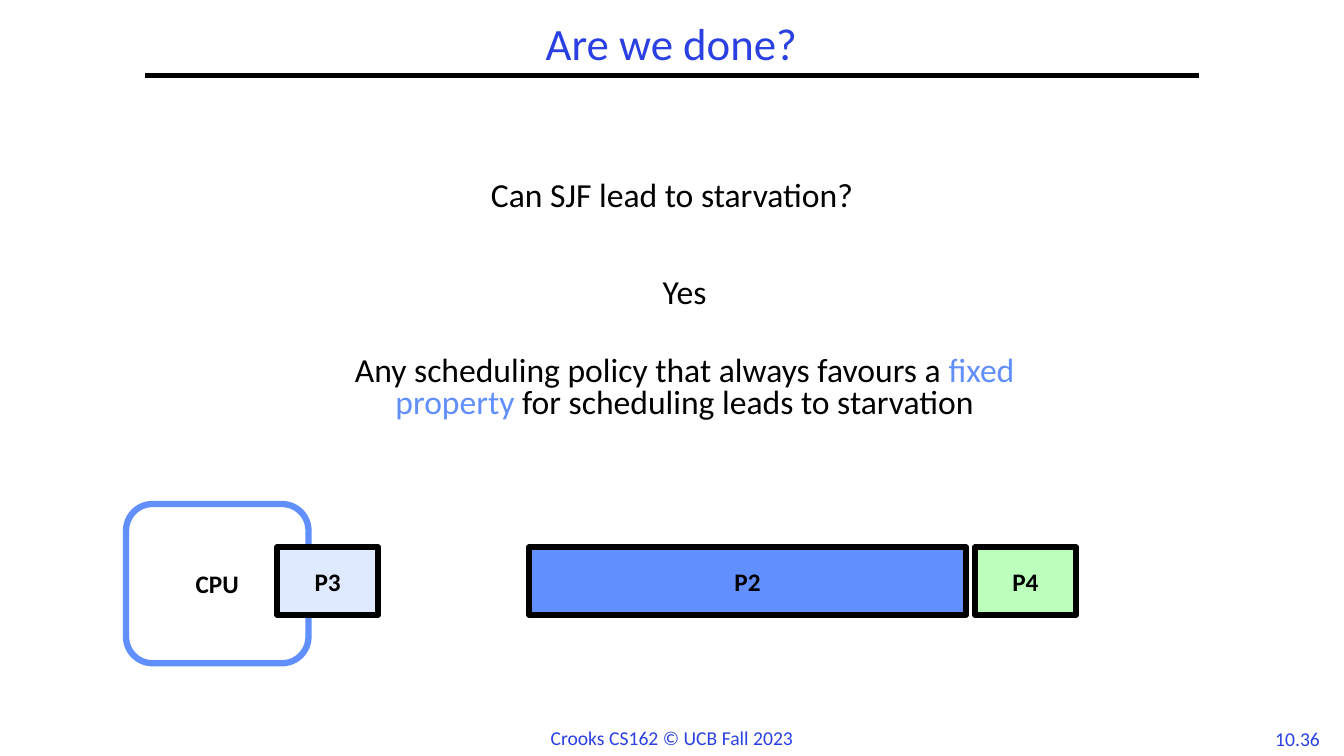
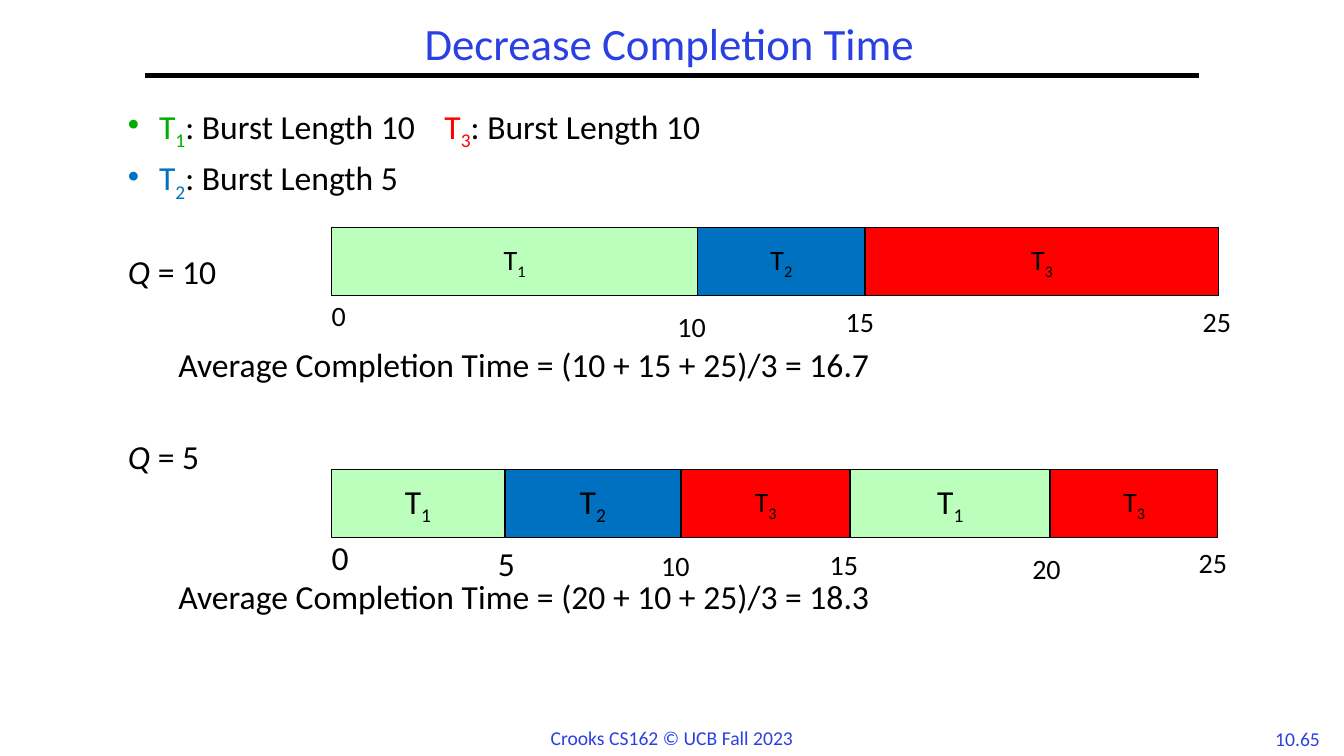
from itertools import pairwise

from lxml.etree import SubElement
from pptx import Presentation
from pptx.dml.color import RGBColor
from pptx.enum.shapes import MSO_CONNECTOR, MSO_SHAPE
from pptx.enum.text import MSO_ANCHOR as ANCHOR, PP_ALIGN as ALIGN
from pptx.oxml.ns import qn
from pptx.util import Pt

PX = 9144  # 100 px to the inch
FONT = "Calibri"
COLORS = {
    "black": "000000", "white": "FFFFFF", "title": "2A40E2", "sky": "618FFD",
    "pale": "DFE9FF", "mint": "BCFFBC", "green": "00AE00", "blue": "0070C0", "red": "FF0000",
}


def px(*lengths):
    return [length * PX for length in lengths]


def add_text(slide, box, paragraphs, size, color="black", align=ALIGN.LEFT, anchor=ANCHOR.TOP,
             bold=False, line_spacing=None, gap=0, bullet=None, wrap=True,
             kind=None, fill=None, edge="black", weight=0.75):
    """Add a text box, or a filled shape if kind is given.

    Each paragraph is a list of runs (text, colour or None, "sub", "italic" or None).
    """
    if kind is None:
        holder = slide.shapes.add_textbox(*px(*box))
    else:
        holder = slide.shapes.add_shape(kind, *px(*box))
        holder.shadow.inherit = False
        holder.fill.solid()
        holder.fill.fore_color.rgb = RGBColor.from_string(COLORS[fill])
        holder.line.color.rgb = RGBColor.from_string(COLORS[edge])
        holder.line.width = Pt(weight)
    frame = holder.text_frame
    frame.word_wrap = wrap
    frame.vertical_anchor = anchor
    for index, runs in enumerate(paragraphs):
        paragraph = frame.add_paragraph() if index else frame.paragraphs[0]
        if bullet:
            properties = paragraph._p.get_or_add_pPr()
            properties.set("marL", str(31 * PX))
            properties.set("indent", str(-31 * PX))
            SubElement(properties, qn("a:buChar")).set("char", bullet)
        paragraph.alignment = align
        if line_spacing:
            paragraph.line_spacing = line_spacing
        if index:
            paragraph.space_before = Pt(gap)
        for text, run_color, style in runs:
            run = paragraph.add_run()
            run.text = text
            run.font.name = FONT
            run.font.size = Pt(size)
            run.font.bold = bold
            run.font.italic = style == "italic"
            run.font.color.rgb = RGBColor.from_string(COLORS[run_color or color])
            if style == "sub":
                run._r.get_or_add_rPr().set("baseline", "-25000")


deck = Presentation()
deck.slide_width, deck.slide_height = px(1333, 750)

# Shared title, rule and footer
slides = []
for title, title_left, number in [("Are we done?", 144, "10.36"),
                                  ("Decrease Completion Time", 142, "10.65")]:
    slide = deck.slides.add_slide(deck.slide_layouts[6])
    slides.append(slide)
    add_text(slide, (1253, 716, 68, 33), [[(number, None, None)]], 14, "title",
             ALIGN.CENTER, wrap=False)
    add_text(slide, (535, 715, 263, 34), [[("Crooks CS162 © UCB Fall 2023", None, None)]], 14,
             "title", ALIGN.CENTER, wrap=False)
    rule = slide.shapes.add_connector(MSO_CONNECTOR.STRAIGHT, *px(144, 75, 1189, 75))
    rule.line.color.rgb = RGBColor.from_string(COLORS["black"])
    rule.line.width = Pt(3)
    SubElement(rule._element.spPr, qn("a:effectLst"))
    add_text(slide, (title_left, 17, 1044, 58), [[(title, None, None)]], 32, "title",
             ALIGN.CENTER, ANCHOR.MIDDLE, line_spacing=0.9)
starvation, completion = slides

# Starvation: question, answer and the process queue
add_text(starvation, (0, 175, 1333, 58), [[("Can SJF lead to starvation?", None, None)]], 24,
         align=ALIGN.CENTER, line_spacing=0.8)
answer = [
    [("Yes", None, None)],
    [("Any scheduling policy that always favours a ", None, None),
     ("fixed property ", "sky", None),
     ("for scheduling leads to starvation", None, None)],
]
add_text(starvation, (333, 272, 692, 158), answer, 24, align=ALIGN.CENTER,
         line_spacing=0.8, gap=32)

for label, box, kind, fill, edge in [
    ("CPU", (125, 500, 181, 158), MSO_SHAPE.ROUNDED_RECTANGLE, "white", "sky"),
    ("P2", (525, 543, 433, 67), MSO_SHAPE.RECTANGLE, "sky", "black"),
    ("P4", (967, 543, 100, 67), MSO_SHAPE.RECTANGLE, "mint", "black"),
    ("P3", (275, 543, 100, 67), MSO_SHAPE.RECTANGLE, "pale", "black"),
]:
    add_text(starvation, box, [[(label, None, None)]], 18, align=ALIGN.CENTER,
             anchor=ANCHOR.MIDDLE, bold=True, kind=kind, fill=fill, edge=edge, weight=4.5)

# Completion time: burst lengths
bursts = {
    name: [("T", color, None), (name, color, "sub"), (f": Burst Length {length}", None, None)]
    for name, color, length in [("1", "green", 10), ("2", "blue", 5), ("3", "red", 10)]
}
add_text(completion, (117, 100, 310, 105), [bursts["1"], bursts["2"]], 24, gap=4, bullet="•")
add_text(completion, (431, 100, 310, 50), [bursts["3"]], 24)

# Completion time: one timeline per quantum
thread_fills = {"1": "mint", "2": "blue", "3": "red"}
timelines = [
    {"quantum": 10, "quantum_top": 244, "average": "(10 + 15 + 25)/3 = 16.7", "average_top": 336,
     "bar_top": 226, "threads": "123", "edges": [329, 692, 858, 1209], "gap": 0,
     "sizes": [20, 20, 20],
     "ticks": [("0", 319, 291, 20), ("10", 662, 302, 20), ("15", 829, 297, 20),
               ("25", 1183, 297, 20)]},
    {"quantum": 5, "quantum_top": 428, "average": "(20 + 10 + 25)/3 = 18.3", "average_top": 566,
     "bar_top": 466, "threads": "12313", "edges": [329, 501, 676, 844, 1042, 1209], "gap": 1,
     "sizes": [24, 24, 20, 24, 20],
     "ticks": [("0", 319, 528, 24), ("5", 484, 534, 24), ("10", 646, 539, 20),
               ("15", 813, 538, 20), ("20", 1014, 542, 20), ("25", 1179, 536, 20)]},
]
for timeline in timelines:
    add_text(completion, (117, timeline["quantum_top"], 180, 50),
             [[("Q", None, "italic"), (f" = {timeline['quantum']}", None, None)]], 24)
    add_text(completion, (167, timeline["average_top"], 900, 50),
             [[(f"Average Completion Time = {timeline['average']}", None, None)]], 24)
    for thread, (start, end), size in zip(timeline["threads"], pairwise(timeline["edges"]),
                                          timeline["sizes"]):
        add_text(completion, (start, timeline["bar_top"], end - start - timeline["gap"], 67),
                 [[("T", None, None), (thread, None, "sub")]], size, align=ALIGN.CENTER,
                 anchor=ANCHOR.MIDDLE, wrap=False, kind=MSO_SHAPE.RECTANGLE,
                 fill=thread_fills[thread])
    for time, left, top, size in timeline["ticks"]:
        add_text(completion, (left, top, 60, 50 if size == 24 else 44),
                 [[(time, None, None)]], size, anchor=ANCHOR.MIDDLE)

deck.save("out.pptx")
